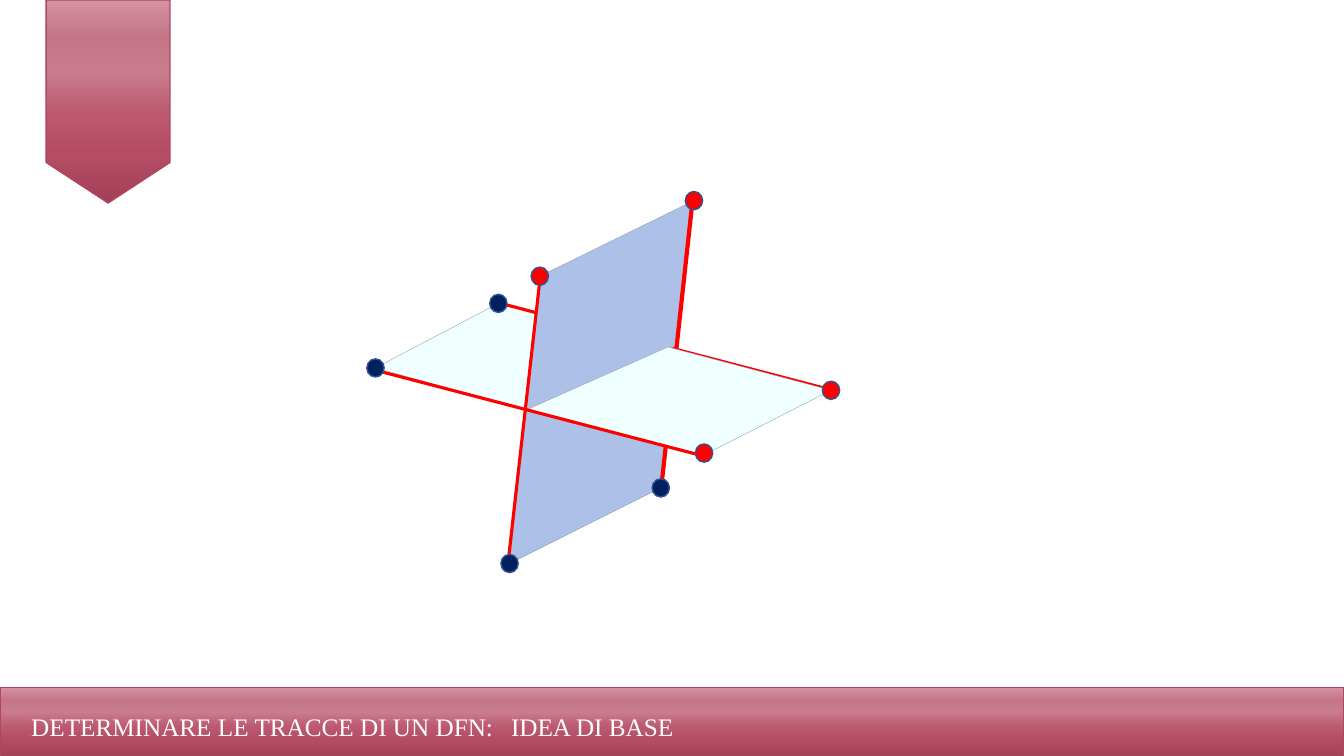
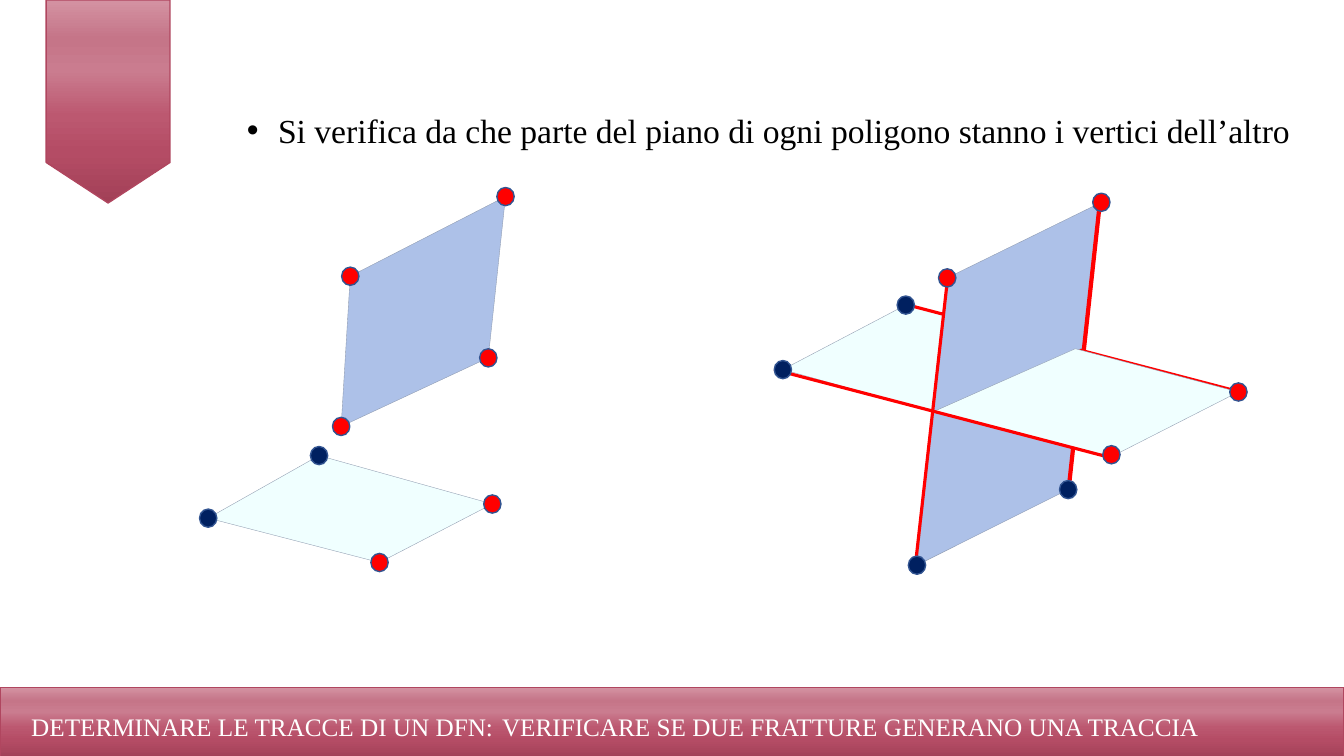
from dataclasses import dataclass

from lxml.etree import SubElement
from pptx import Presentation
from pptx.dml.color import RGBColor
from pptx.enum.shapes import MSO_CONNECTOR, MSO_SHAPE
from pptx.enum.text import MSO_ANCHOR, MSO_AUTO_SIZE, PP_ALIGN
from pptx.oxml.ns import qn
from pptx.util import Pt


@dataclass(frozen=True)
class Theme:
    font: str = "Times New Roman"
    title_size: float = 18
    body_size: float = 24
    white: str = "FFFFFF"
    black: str = "000000"
    band_line: str = "B0465F"
    blue_plane: str = "ADC1E8"
    pale_plane: str = "F0FFFF"
    plane_line: str = "8E9AAF"
    dot_line: str = "325491"
    red: str = "FF0000"
    navy: str = "002060"
    # Position in percent and colour, from bottom to top
    band_stops: tuple = ((0, "A24057"), (25, "B44C65"), (43, "BC5870"),
                         (65, "CA7C8F"), (81, "C57588"), (99, "D391A1"))


T = Theme()
TOPIC = "DETERMINARE LE TRACCE DI UN DFN:"
DOT_W, DOT_H = 12.4, 13

# Corners of the two crossing fractures, relative to their box
CROSSED_BLUE = {"top_left": (123.6, 60.5), "top_right": (233.7, 6.5),
                "bottom_right": (210, 211.7), "bottom_left": (102, 265.7)}
CROSSED_PALE = {"left": (6.2, 126), "back": (94, 79.9),
                "right": (331.6, 142), "front": (240.9, 186.8)}
TRACE_FRONT, TRACE_BACK = (113.7, 156.1), (215.1, 111.1)
BLUE_EDGE = (221.6, 110)

# Corners of the two fractures that do not meet
APART_BLUE = [(107.6, 63.4), (218.5, 6.5), (206.2, 121.7), (101.1, 170.7)]
APART_PALE = [(6.1, 236.2), (85.3, 191.5), (209.1, 226.1), (128.5, 267.9)]


def rgb(color):
    return RGBColor.from_string(color)


def shift(box, point):
    return Pt(box[0] + point[0]), Pt(box[1] + point[1])


def paint(sp, fill, line, width):
    sp.shadow.inherit = False
    sp.fill.solid()
    sp.fill.fore_color.rgb = rgb(fill)
    sp.line.color.rgb = rgb(line)
    sp.line.width = Pt(width)


def paint_band(sp):
    """Upright crimson gradient with a thin outline."""
    sp.fill.gradient()
    sp.fill.gradient_angle = 90
    stops = sp._element.spPr.find(".//" + qn("a:gsLst"))
    del stops[:]
    for percent, color in T.band_stops:
        gs = SubElement(stops, qn("a:gs"), pos=str(percent * 1000))
        SubElement(gs, qn("a:srgbClr"), val=color)
    sp.line.color.rgb = rgb(T.band_line)
    sp.line.width = Pt(1)


def add_text(p, text, size, color):
    r = p.add_run()
    r.text = text
    r.font.name = T.font
    r.font.size = Pt(size)
    r.font.color.rgb = rgb(color)


def add_plane(s, box, corners, fill):
    points = [shift(box, c) for c in corners]
    builder = s.shapes.build_freeform(*points[0], scale=1.0)
    builder.add_line_segments(points[1:], close=True)
    paint(builder.convert_to_shape(), fill, T.plane_line, 0.25)


def add_edge(s, box, start, end, width=2.25):
    line = s.shapes.add_connector(
        MSO_CONNECTOR.STRAIGHT, *shift(box, start), *shift(box, end))
    line.line.color.rgb = rgb(T.red)
    line.line.width = Pt(width)
    SubElement(line._element.spPr, qn("a:effectLst"))


def add_dots(s, box, centers, fill):
    for x, y in centers:
        sp = s.shapes.add_shape(
            MSO_SHAPE.OVAL, *shift(box, (x - DOT_W / 2, y - DOT_H / 2)),
            Pt(DOT_W), Pt(DOT_H))
        paint(sp, fill, T.dot_line, 1)


def add_crossed_fractures(s, left, top):
    box = left, top
    blue, pale = CROSSED_BLUE, CROSSED_PALE
    # Halves and rear edges, from back to front
    add_plane(s, box, [pale["left"], pale["back"], TRACE_BACK, TRACE_FRONT],
              T.pale_plane)
    add_plane(s, box, [TRACE_FRONT, BLUE_EDGE, blue["bottom_right"],
                       blue["bottom_left"]], T.blue_plane)
    add_edge(s, box, (93, 79.2), (337.8, 143.3))
    add_plane(s, box, [blue["top_left"], blue["top_right"], BLUE_EDGE,
                       TRACE_FRONT], T.blue_plane)
    add_edge(s, box, (233.4, 0), (209.6, 218.2), 3)
    add_plane(s, box, [TRACE_FRONT, TRACE_BACK, pale["right"], (240.9, 188.2)],
              T.pale_plane)
    # Front edges
    add_edge(s, box, (0, 126), (244.9, 190.1))
    add_edge(s, box, (123.2, 67), (101.6, 259.2))
    # Vertices, coloured by the side of the other plane
    add_dots(s, box, [blue["top_left"], blue["top_right"],
                      pale["right"], pale["front"]], T.red)
    add_dots(s, box, [blue["bottom_left"], blue["bottom_right"],
                      pale["left"], pale["back"]], T.navy)


def add_separate_fractures(s, left, top):
    box = left, top
    add_plane(s, box, APART_PALE, T.pale_plane)
    add_plane(s, box, APART_BLUE, T.blue_plane)
    add_dots(s, box, APART_BLUE + APART_PALE[2:], T.red)
    add_dots(s, box, APART_PALE[:2], T.navy)


def add_bullet(s, left, top, width, height, text):
    tf = s.shapes.add_textbox(Pt(left), Pt(top), Pt(width), Pt(height)).text_frame
    tf.word_wrap = True
    p = tf.paragraphs[0]
    pPr = p._p.get_or_add_pPr()
    indent = Pt(22.3)
    pPr.set("marL", str(indent))
    pPr.set("indent", str(-indent))
    SubElement(pPr, qn("a:buFont"), typeface="Arial")
    SubElement(pPr, qn("a:buChar"), char="•")
    add_text(p, text, T.body_size, T.black)


def add_title_band(s, left, top, width, height, subtitle, tab):
    """The title fills the bottom band; a tab sets off its second part."""
    sp = s.shapes.title
    sp.left, sp.top, sp.width, sp.height = Pt(left), Pt(top), Pt(width), Pt(height)
    paint_band(sp)
    tf = sp.text_frame
    tf.auto_size = MSO_AUTO_SIZE.NONE
    tf.word_wrap = True
    tf.vertical_anchor = MSO_ANCHOR.TOP
    tf.margin_left, tf.margin_top = Pt(22.3), Pt(16.8)
    tf.margin_right = tf.margin_bottom = 0
    p = tf.paragraphs[0]
    p.alignment = PP_ALIGN.LEFT
    p.line_spacing = 1.0
    tabs = SubElement(p._p.get_or_add_pPr(), qn("a:tabLst"))
    SubElement(tabs, qn("a:tab"), pos=str(Pt(tab)), algn="l")
    add_text(p, TOPIC, T.title_size, T.white)
    add_text(p, "\t" + subtitle, T.title_size, T.white)


def add_base_slide(prs, subtitle, tab):
    s = prs.slides.add_slide(prs.slide_layouts[5])
    # Corner ribbon
    ribbon = s.shapes.add_shape(MSO_SHAPE.FLOWCHART_OFFPAGE_CONNECTOR,
                                Pt(33), 0, Pt(88.5), Pt(145))
    ribbon.shadow.inherit = False
    paint_band(ribbon)
    # Bottom band
    add_title_band(s, 0, 491, 960, 50, subtitle, tab)
    return s


def main():
    prs = Presentation()
    prs.slide_width, prs.slide_height = Pt(960), Pt(540)

    # Basic idea
    s = add_base_slide(prs, "IDEA DI BASE", 342.7)
    add_crossed_fractures(s, 262, 136.8)

    # Check for a trace
    s = add_base_slide(
        prs, "VERIFICARE SE DUE FRATTURE GENERANO UNA TRACCIA", 336.3)
    add_bullet(s, 169.2, 75, 780, 36,
               "Si verifica da che parte del piano di ogni poligono "
               "stanno i vertici dell’altro")
    add_separate_fractures(s, 142.6, 133.9)
    add_crossed_fractures(s, 553, 138)

    prs.save("out.pptx")


if __name__ == "__main__":
    main()
